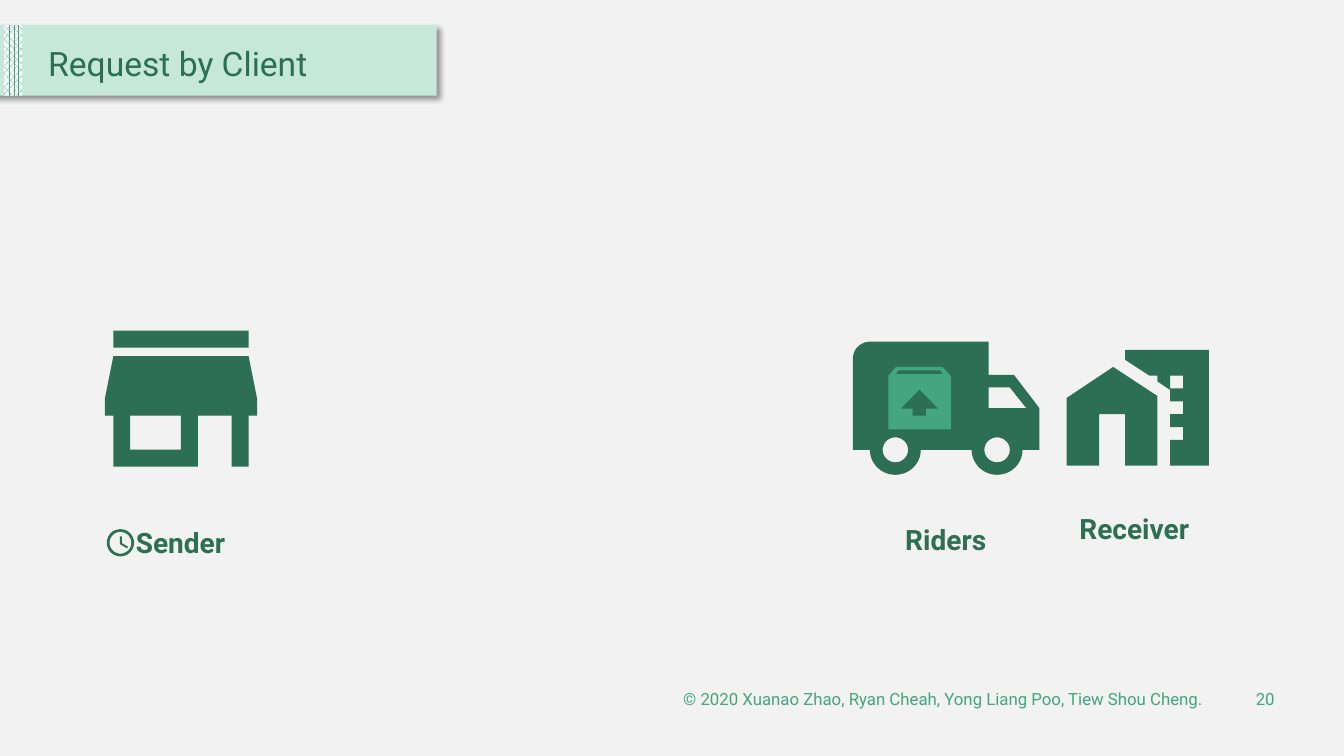
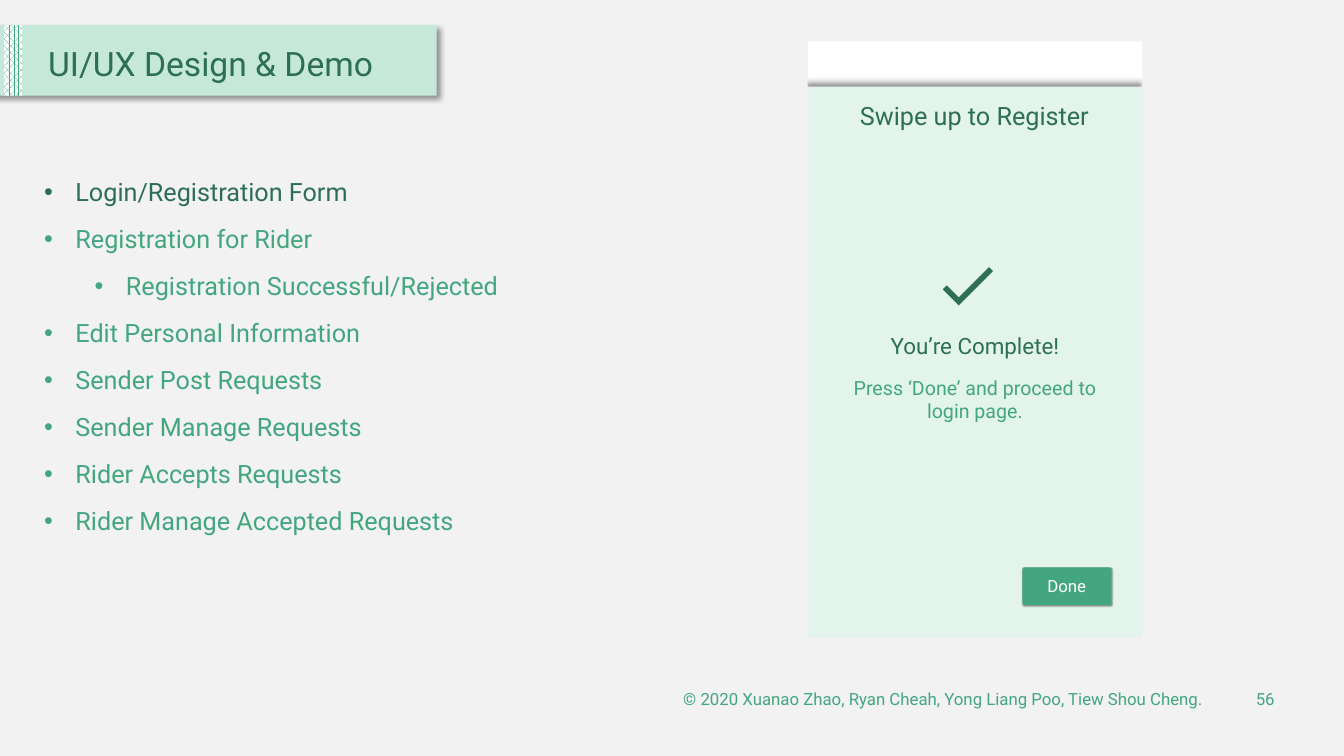
from math import cos, radians, sin

from pptx import Presentation
from pptx.dml.color import RGBColor
from pptx.enum.dml import MSO_PATTERN
from pptx.enum.shapes import MSO_SHAPE
from pptx.enum.text import MSO_ANCHOR, PP_ALIGN
from pptx.oxml.xmlchemy import OxmlElement
from pptx.util import Inches, Pt

FONT = "Roboto"
HUES = {
    "back": "F2F2F2", "band": "C6E8DB", "dark": "2D6F55",
    "green": "43A680", "pane": "E3F4ED", "white": "FFFFFF", "black": "000000",
}
OWNERS = "© 2020 Xuanao Zhao, Ryan Cheah, Yong Liang Poo, Tiew Shou Cheng."
LEFT, MID, RIGHT = PP_ALIGN.LEFT, PP_ALIGN.CENTER, PP_ALIGN.RIGHT
WIDE, HIGH = 13.33, 7.5


def hue(name):
    return RGBColor.from_string(HUES[name])


def add_text(slide, box, lines, size=18, color="dark", bold=False, align=MID,
             anchor=MSO_ANCHOR.TOP, space=0, bullet=False):
    """Each line is a string or a tuple (string, color, level)."""
    frame = slide.shapes.add_textbox(*map(Inches, box)).text_frame
    frame.word_wrap = True
    frame.vertical_anchor = anchor
    for i, line in enumerate([lines] if isinstance(lines, str) else lines):
        words, tint, level = (line, color, 0) if isinstance(line, str) else line
        para = frame.add_paragraph() if i else frame.paragraphs[0]
        para.alignment = align
        para.level = level
        if i and space:
            para.space_before = Pt(space)
        if bullet:
            props = para._p.get_or_add_pPr()
            props.set("marL", str(Inches(0.31 + 0.5 * level)))
            props.set("indent", str(Inches(-0.31)))
            for tag, key, value in (("a:buFont", "typeface", "Arial"),
                                    ("a:buChar", "char", "•")):
                mark = OxmlElement(tag)
                mark.set(key, value)
                props.append(mark)
        run = para.add_run()
        run.text = words
        run.font.name, run.font.size, run.font.bold = FONT, Pt(size), bold
        run.font.color.rgb = hue(tint)


def paint(shape, color):
    shape.shadow.inherit = False
    shape.line.fill.background()
    shape.fill.solid()
    shape.fill.fore_color.rgb = hue(color)
    return shape


def add_box(slide, box, color, kind=MSO_SHAPE.RECTANGLE):
    return paint(slide.shapes.add_shape(kind, *map(Inches, box)), color)


def cast(shape, blur, dist, angle):
    """Give a shape a soft black shadow."""
    shade = OxmlElement("a:outerShdw")
    for key, value in (("blurRad", Pt(blur)), ("dist", Pt(dist)),
                       ("dir", angle * 60000), ("rotWithShape", 0)):
        shade.set(key, str(value))
    tint, alpha = OxmlElement("a:srgbClr"), OxmlElement("a:alpha")
    tint.set("val", HUES["black"])
    alpha.set("val", "40000")
    tint.append(alpha)
    shade.append(tint)
    shape._element.spPr.find(shade.tag.replace("outerShdw", "effectLst")).append(shade)


# Icon outlines, each drawn on its own small grid
def arc(x, y, r, start=0, end=360, steps=36):
    turns = [radians(start + (end - start) * i / steps) for i in range(steps + 1)]
    return [(x + r * cos(t), y + r * sin(t)) for t in turns]


def rect(x, y, w, h):
    return [(x, y), (x + w, y), (x + w, y + h), (x, y + h)]


TRUCK = (22, 16, [
    [(19, 4), (16, 4), (16, 0), *arc(2, 2, 2, 270, 180), (0, 13),
     *arc(5, 13, 3, 180, 0), *arc(17, 13, 3, 180, 0), (22, 13), (22, 8)],
    arc(5, 13, 1.5), arc(17, 13, 1.5),
    [(18.5, 5.5), (20.46, 8), (16, 8), (16, 5.5)]])
SHOP = (18, 16, [
    rect(1, 0, 16, 2),
    [(18, 10), (18, 8), (17, 3), (1, 3), (0, 8), (0, 10), (1, 10), (1, 16),
     (11, 16), (11, 10), (15, 10), (15, 16), (17, 16), (17, 10)],
    rect(3, 10, 6, 4)])
HOUSE = (14, 15.3, [
    [(7.17, 0), (0, 4.8), (0, 15.3), (5, 15.3), (5, 7.3), (9, 7.3), (9, 15.3),
     (14, 15.3), (14, 4.5)]])
TOWER = (13, 18, [
    [(0, 0), (0, 1.57), (2, 2.87), (3.75, 4), (5, 4), (5, 4.9), (7, 6.25),
     (7, 8), (9, 8), (9, 10), (7, 10), (7, 12), (9, 12), (9, 14),
     (7, 14), (7, 18), (13, 18), (13, 0)],
    rect(7, 4, 2, 2)])
PARCEL = (18, 18, [
    [(15.6, 0), (2.2, 0), (0, 2.6), (0, 18), (18, 18), (18, 2.6)],
    [(10.9, 12), (10.9, 14), (7, 14), (7, 12), (3.6, 12), (9, 6.5), (14.4, 12)],
    [(2.1, 2), (3, 1), (14.9, 1), (15.8, 2)]])
DIAL = (20, 20, [arc(10, 10, 10), arc(10, 10, 8)])
HANDS = (6, 9.15, [
    [(1.5, 0), (0, 0), (0, 6), (5.25, 9.15), (6, 7.9), (1.5, 5.25)]])
TICK = (17.6, 13.4, [
    [(5.6, 10.6), (1.4, 6.4), (0, 7.8), (5.6, 13.4), (17.6, 1.4), (16.2, 0)]])


def add_icon(slide, box, icon, color="dark"):
    x, y, w, h = box
    cols, rows, loops = icon
    pen = None
    for loop in loops:
        dots = [(Inches(x + a * w / cols), Inches(y + b * h / rows)) for a, b in loop]
        if pen is None:
            pen = slide.shapes.build_freeform(*dots[0])
        else:
            pen.move_to(*dots[0])
        pen.add_line_segments(dots[1:], close=True)
    paint(pen.convert_to_shape(), color)


# Shared frame: background, title band, footer
def add_slide(deck, title):
    slide = deck.slides.add_slide(deck.slide_layouts[6])
    slide.background.fill.solid()
    slide.background.fill.fore_color.rgb = hue("back")
    cast(add_box(slide, (-0.21, 0.25, 4.54, 0.7), "band"), 4, 3, 45)
    weave = add_box(slide, (0.04, 0.25, 0.18, 0.7), "green").fill
    weave.patterned()
    weave.pattern = MSO_PATTERN.PERCENT_70
    weave.fore_color.rgb = hue("green")
    weave.back_color.rgb = hue("white")
    add_text(slide, (0.38, 0.33, 3.96, 0.6), title, size=24, align=LEFT,
             anchor=MSO_ANCHOR.MIDDLE)
    return slide


def add_foot(slide, number):
    for x, w, words in ((5.44, 6.59, OWNERS), (12.15, 0.59, number)):
        add_text(slide, (x, 6.73, w, 0.4), words, size=12, color="green",
                 align=RIGHT, anchor=MSO_ANCHOR.MIDDLE)


def add_phone(slide, x, y, w, h):
    """Sign-up screen of the app."""
    add_box(slide, (x + 0.01, y, w, h), "white")
    cast(add_box(slide, (x, y + 0.45, w, h - 0.45), "pane"), 4, 3, 270)
    add_text(slide, (x, y + 0.54, w, 0.4), "Swipe up to Register")
    # Margins trim the shadow to the screen
    right, base = x + w, y + h
    for box in ((x - 3.08, y, 3.09, h), (right, y, WIDE - right, h),
                (x - 0.71, base, 4.6, HIGH - base)):
        add_box(slide, box, "back")
    # Button
    left, top = x + 2.14, y + 5.22
    button = add_box(slide, (left, top, 0.88, 0.37), "green", MSO_SHAPE.ROUNDED_RECTANGLE)
    button.adjustments[0] = 0.05
    cast(button, 1, 1, 45)
    add_text(slide, (left, top + 0.03, 0.88, 0.3), "Done", size=12, color="white")
    # Message
    add_icon(slide, (x + 1.35, y + 2.24, 0.5, 0.38), TICK)
    add_text(slide, (x + 0.18, y + 2.84, 2.98, 0.37), "You’re Complete!", size=16)
    add_text(slide, (x + 0.18, y + 3.27, 2.98, 0.57),
             "Press ‘Done’ and proceed to login page.", size=14, color="green")


def request(deck):
    slide = add_slide(deck, "Request by Client")
    for icon, box in ((TRUCK, (8.46, 3.39, 1.85, 1.32)), (SHOP, (1.04, 3.28, 1.51, 1.35)),
                      (HOUSE, (10.58, 3.64, 0.9, 0.98)), (TOWER, (11.16, 3.47, 0.83, 1.15)),
                      (DIAL, (1.06, 5.25, 0.27, 0.27)), (HANDS, (1.19, 5.32, 0.08, 0.12))):
        add_icon(slide, box, icon)
    add_icon(slide, (8.81, 3.64, 0.62, 0.62), PARCEL, "green")
    for x, y, name in ((0.78, 5.16, "Sender"), (8.37, 5.13, "Riders"),
                       (10.24, 5.03, "Receiver")):
        add_text(slide, (x, y, 2.02, 0.44), name, size=20, bold=True)
    add_foot(slide, "20")


def design(deck):
    slide = add_slide(deck, "UI/UX Design & Demo")
    add_phone(slide, 8, 0.41, 3.33, 5.92)
    topics = [
        ("Login/Registration Form", "dark", 0),
        "Registration for Rider",
        ("Registration Successful/Rejected", "green", 1),
        "Edit Personal Information",
        "Sender Post Requests",
        "Sender Manage Requests",
        "Rider Accepts Requests",
        "Rider Manage Accepted Requests",
    ]
    add_text(slide, (0.34, 1.7, 4.99, 3.7), topics, color="green", align=LEFT,
             space=12, bullet=True)
    add_foot(slide, "56")


def main():
    deck = Presentation()
    deck.slide_width, deck.slide_height = Inches(WIDE), Inches(HIGH)
    request(deck)
    design(deck)
    deck.save("out.pptx")


if __name__ == "__main__":
    main()
